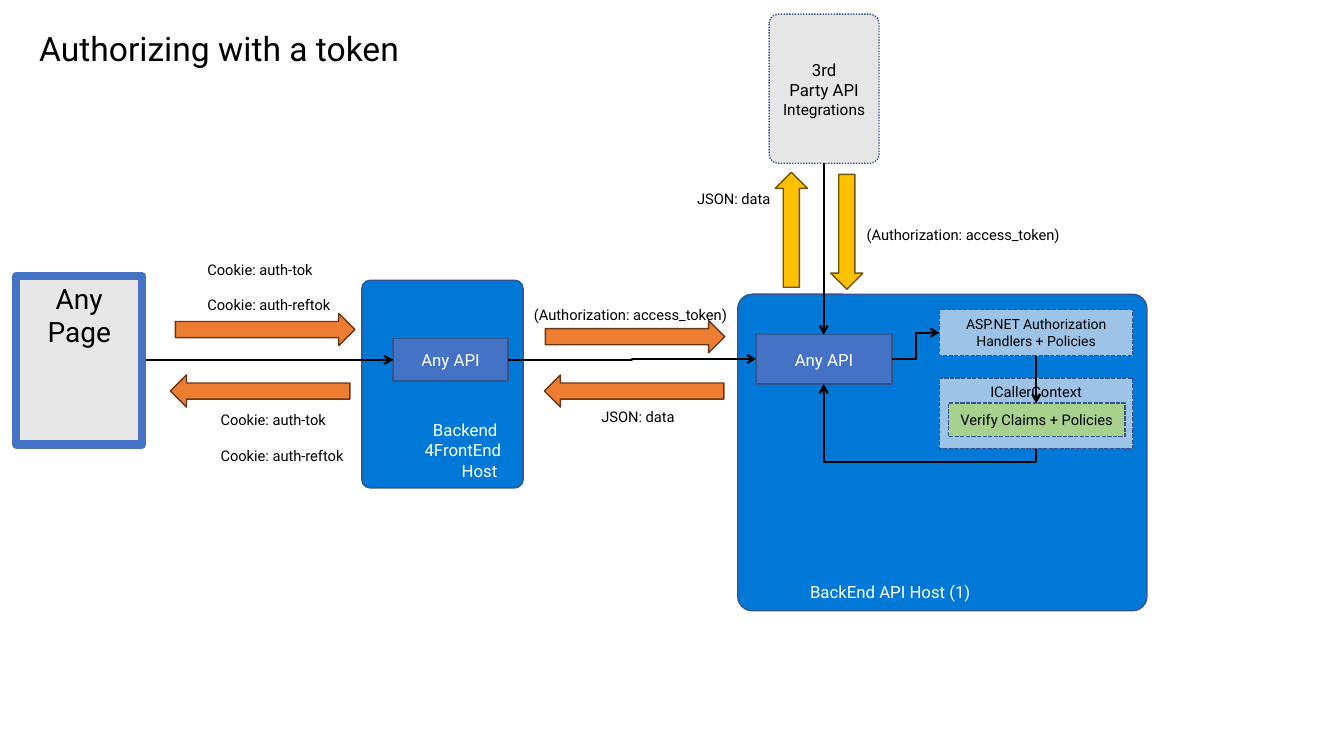
from dataclasses import dataclass
from typing import Any

from lxml.etree import SubElement
from pptx import Presentation
from pptx.dml.color import RGBColor as RGB
from pptx.enum.dml import MSO_LINE as Dash
from pptx.enum.shapes import MSO_CONNECTOR as Wire, MSO_SHAPE as Form
from pptx.enum.text import MSO_ANCHOR as Anchor, MSO_AUTO_SIZE as Fit, PP_ALIGN as Align
from pptx.oxml.ns import qn
from pptx.util import Pt

FONT = "Roboto"
BLACK = RGB(0x00, 0x00, 0x00)
WHITE = RGB(0xFF, 0xFF, 0xFF)
AZURE = RGB(0x00, 0x78, 0xD7)
BLUE = RGB(0x44, 0x72, 0xC4)
NAVY = RGB(0x32, 0x54, 0x91)
SKY = RGB(0x9D, 0xC3, 0xE6)
GREEN = RGB(0xA9, 0xD1, 0x8E)
GREY = RGB(0xE7, 0xE6, 0xE6)
ORANGE = RGB(0xED, 0x7D, 0x31)
RUST = RGB(0x68, 0x37, 0x15)
GOLD = RGB(0xFF, 0xC0, 0x00)
BROWN = RGB(0x70, 0x54, 0x00)

Spot = tuple[float, float]
Area = tuple[float, float, float, float]


@dataclass
class Para:
    runs: list[tuple[str, float]]
    align: Any = Align.CENTER
    indent: float = 0
    gap: float = 0


@dataclass
class Box:
    area: Area
    fill: RGB
    paras: list[Para]
    ink: RGB = BLACK
    anchor: Any = Anchor.MIDDLE
    edge: RGB = NAVY
    weight: float = 1
    dash: Any = None
    round: float = 0


@dataclass
class Arrow:
    area: Area
    turn: int = 0
    fill: RGB = ORANGE
    edge: RGB = RUST


@dataclass
class Label:
    area: Area
    paras: list[Para]


@dataclass
class Link:
    start: Spot
    end: Spot
    bend: float | None = None
    turned: bool = False


def mid(text: str, size: float) -> list[Para]:
    return [Para([(text, size)])]


def left(text: str, size: float, indent: float = 0, gap: float = 0) -> Para:
    return Para([(text, size)], Align.LEFT, indent, gap)


def write(frame: Any, paras: list[Para], ink: RGB) -> None:
    for i, item in enumerate(paras):
        para = frame.add_paragraph() if i else frame.paragraphs[0]
        para.alignment = item.align
        if item.indent:
            para._p.get_or_add_pPr().set("marL", str(int(Pt(item.indent))))
        if item.gap:
            para.space_before = Pt(item.gap)
        for text, size in item.runs:
            run = para.add_run()
            run.text = text
            run.font.name, run.font.size = FONT, Pt(size)
            run.font.color.rgb = ink


def add_form(slide: Any, form: Any, area: Area, fill: RGB, edge: RGB, weight: float = 1) -> Any:
    shape = slide.shapes.add_shape(form, *map(Pt, area))
    shape.shadow.inherit = False
    shape.fill.solid()
    shape.fill.fore_color.rgb = fill
    shape.line.color.rgb, shape.line.width = edge, Pt(weight)
    return shape


def draw_box(slide: Any, box: Box) -> None:
    form = Form.ROUNDED_RECTANGLE if box.round else Form.RECTANGLE
    shape = add_form(slide, form, box.area, box.fill, box.edge, box.weight)
    if box.round:
        shape.adjustments[0] = box.round
    if box.dash:
        shape.line.dash_style = box.dash
    frame = shape.text_frame
    frame.word_wrap, frame.vertical_anchor = True, box.anchor
    write(frame, box.paras, box.ink)


def draw_arrow(slide: Any, arrow: Arrow) -> None:
    shape = add_form(slide, Form.RIGHT_ARROW, arrow.area, arrow.fill, arrow.edge)
    shape.rotation = arrow.turn


def draw_label(slide: Any, label: Label) -> None:
    frame = slide.shapes.add_textbox(*map(Pt, label.area)).text_frame
    frame.word_wrap, frame.auto_size = False, Fit.SHAPE_TO_FIT_TEXT
    write(frame, label.paras, BLACK)


def draw_link(slide: Any, link: Link) -> None:
    (x1, y1), (x2, y2) = link.start, link.end
    if link.turned:  # ends as they lie before the quarter turn
        cx, cy, dx, dy = (x1 + x2) / 2, (y1 + y2) / 2, (x1 - x2) / 2, (y1 - y2) / 2
        x1, y1, x2, y2 = cx + dy, cy - dx, cx - dy, cy + dx
    kind = Wire.STRAIGHT if link.bend is None else Wire.ELBOW
    wire = slide.shapes.add_connector(kind, Pt(x1), Pt(y1), Pt(x2), Pt(y2))
    wire.line.color.rgb, wire.line.width = BLACK, Pt(1.5)
    props = wire._element.spPr
    if link.turned:
        props.find(qn("a:xfrm")).set("rot", "5400000")
    if link.bend is not None:
        geom = props.find(qn("a:prstGeom"))
        guides = geom.find(qn("a:avLst"))
        if guides is None:
            guides = SubElement(geom, qn("a:avLst"))
        SubElement(guides, qn("a:gd"), name="adj1", fmla=f"val {round(link.bend * 100000)}")
    SubElement(props.find(qn("a:ln")), qn("a:tailEnd"), type="arrow")
    SubElement(props, qn("a:effectLst"))


API = mid("Any API", 12)
DATA = mid("JSON: data", 10.5)
TOKEN = mid("(Authorization: access_token)", 10.5)
COOKIES = [left("Cookie: auth-tok", 10.5), left("Cookie: auth-reftok", 10.5, gap=12.5)]
THIRD = [Para([("3rd", 12)]), Para([("Party API ", 12), ("Integrations", 11)])]
FRONT = [left("Backend", 12, 42), left("4FrontEnd", 12, 36), left("Host", 12, 62.5)]

HOSTS = [
    Box((527, 210.2, 292.3, 226.1), AZURE, [left("BackEnd API Host (1)", 12, 41.5)],
        WHITE, Anchor.BOTTOM, round=0.046),
    Box((540, 239, 97.2, 35.3), BLUE, API, WHITE),
    Box((258.5, 200.2, 115.2, 148.3), AZURE, FRONT, WHITE, Anchor.BOTTOM, round=0.051),
    Box((280.8, 242, 82.1, 30.2), BLUE, API, WHITE),
    Box((549.4, 10.1, 78.5, 106.6), GREY, THIRD, dash=Dash.ROUND_DOT, round=0.082),
]
LINKS = [
    Link((637.2, 256.5), (671, 237.6), 0.5),
    Link((362.9, 257.1), (540, 256.4), 0.5),
    Link((101.5, 257.1), (280.8, 257.1)),
    Link((588.4, 116.7), (588.4, 239)),
    Link((740.2, 312), (588.4, 274.5), -0.479, True),
]
STEPS = [
    Box((671, 221.2, 138.2, 33), SKY, mid("ASP.NET Authorization Handlers + Policies", 10),
        dash=Dash.SQUARE_DOT),
    Box((8.9 + 2.7, 197.3, 90, 120.2), GREY, mid("Any Page", 20),
        anchor=Anchor.TOP, edge=BLUE, weight=6),
    Box((671, 270, 138.2, 50.4), SKY, mid("ICallerContext", 10.5),
        anchor=Anchor.TOP, dash=Dash.SQUARE_DOT),
    Box((677.5, 288, 126, 23.8), GREEN, mid("Verify Claims + Policies", 10.5),
        dash=Dash.SQUARE_DOT),
]
CHECK = Link((740.2, 254.2), (740.2, 288))
ARROWS = [
    Arrow((389.5, 229, 128.2, 23)),
    Arrow((388.8, 267.8, 128.2, 23), 180),
    Arrow((121.7, 267.8, 128.2, 23), 180),
    Arrow((125.3, 223.9, 128.2, 23)),
    Arrow((563.8, 154.1, 82.1, 23), 90, GOLD, BROWN),
    Arrow((524.2, 152.6, 82.1, 23), 270, GOLD, BROWN),
]
LABELS = [
    Label((20.9, 16.6, 275, 36), [left("Authorizing with a token", 24)]),
    Label((150.5, 290.2, 103.7, 45.4), COOKIES),
    Label((141.1, 182.9, 103.7, 45.4), COOKIES),
    Label((421.9, 288, 67.7, 20.2), DATA),
    Label((490.3, 131.8, 67.7, 20.2), DATA),
    Label((373, 214.6, 154.8, 20.2), TOKEN),
    Label((610.6, 157.7, 154.8, 20.2), TOKEN),
]


def main() -> None:
    deck = Presentation()
    deck.slide_width, deck.slide_height = Pt(960), Pt(540)
    slide = deck.slides.add_slide(deck.slide_layouts[6])
    # Hosts and the flow between them
    for box in HOSTS:
        draw_box(slide, box)
    for link in LINKS:
        draw_link(slide, link)
    # Page and token checks, above the flow
    for box in STEPS:
        draw_box(slide, box)
    draw_link(slide, CHECK)
    # Data arrows and their labels
    for arrow in ARROWS:
        draw_arrow(slide, arrow)
    for label in LABELS:
        draw_label(slide, label)
    deck.save("out.pptx")


if __name__ == "__main__":
    main()
